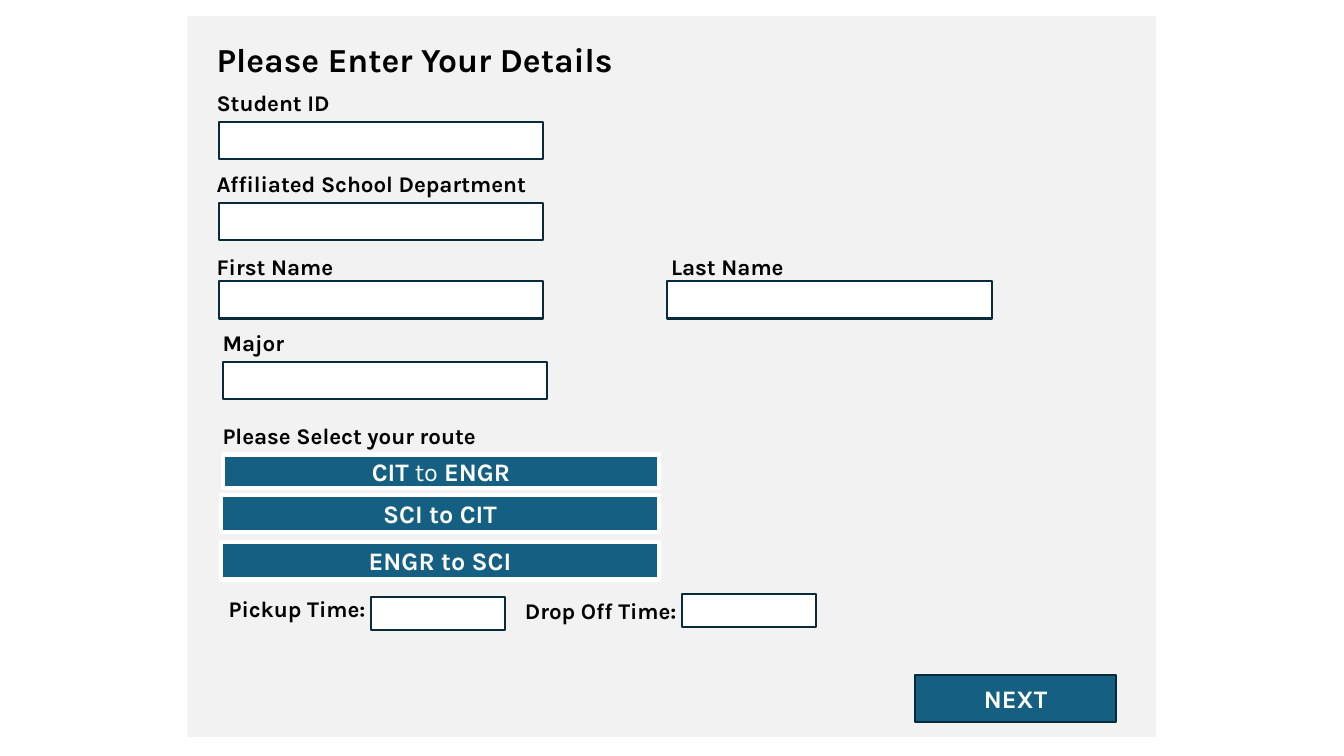
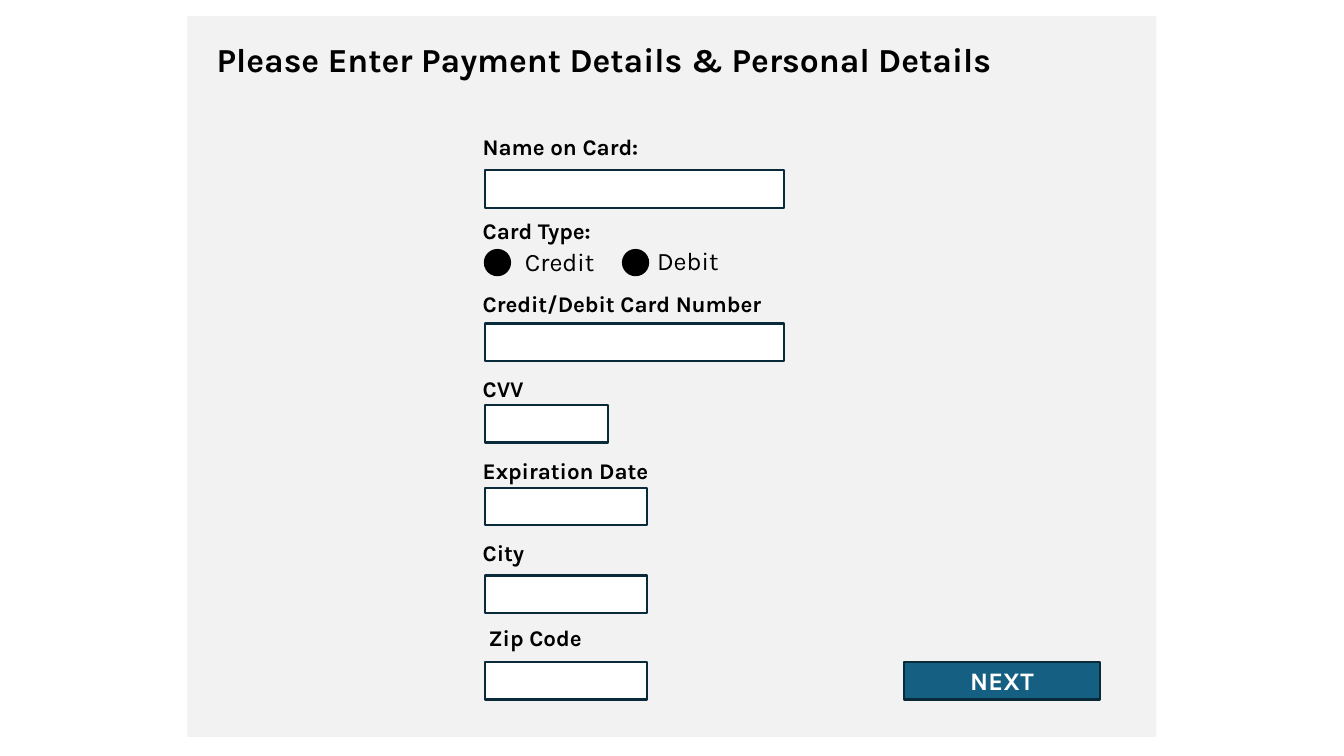
from dataclasses import dataclass

from pptx import Presentation
from pptx.dml.color import RGBColor
from pptx.enum.shapes import MSO_SHAPE
from pptx.enum.text import MSO_ANCHOR, MSO_AUTO_SIZE, PP_ALIGN
from pptx.util import Inches, Pt


@dataclass(frozen=True)
class Theme:
    font: str = "Karla"
    panel: str = "F2F2F2"
    ink: str = "000000"
    paper: str = "FFFFFF"
    outline: str = "092A39"
    accent: str = "156082"
    title_size: int = 24
    label_size: int = 16
    action_size: int = 18
    thin: float = 1.5
    thick: float = 3


THEME = Theme()
CELL = Inches(0.1)
COLUMNS, ROWS = 133.33, 75
FIELD_HEIGHT = 3.7
LABEL_WIDTH = 33.3


def cells(*counts):
    return [round(count * CELL) for count in counts]


def write_text(frame, text, size=THEME.label_size, color=THEME.ink, bold=True,
               align=PP_ALIGN.LEFT, anchor=MSO_ANCHOR.TOP):
    frame.word_wrap = True
    frame.vertical_anchor = anchor
    paragraph = frame.paragraphs[0]
    paragraph.alignment = align
    parts = (text,) if isinstance(text, str) else text
    for index, part in enumerate(parts):
        run = paragraph.add_run()
        run.text = part
        run.font.name = THEME.font
        run.font.size = Pt(size)
        run.font.bold = bold and index % 2 == 0
        run.font.color.rgb = RGBColor.from_string(color)


class FormDeck:
    def __init__(self):
        self.deck = Presentation()
        self.deck.slide_width, self.deck.slide_height = cells(COLUMNS, ROWS)
        self.slide = None

    def page(self, heading):
        self.slide = self.deck.slides.add_slide(self.deck.slide_layouts[6])
        self.block(18.6, 1.6, 96.1, 71.5, fill=THEME.panel)
        self.label(heading, 20.5, 3.4, width=90.1, height=5,
                   size=THEME.title_size)

    def block(self, column, row, width, height, fill=THEME.paper, line=None,
              weight=THEME.thin, kind=MSO_SHAPE.RECTANGLE):
        block = self.slide.shapes.add_shape(
            kind, *cells(column, row, width, height))
        block.shadow.inherit = False
        block.fill.solid()
        block.fill.fore_color.rgb = RGBColor.from_string(fill)
        if line:
            block.line.color.rgb = RGBColor.from_string(line)
            block.line.width = Pt(weight)
        else:
            block.line.fill.background()
        return block

    def label(self, text, column, row, width=LABEL_WIDTH, height=FIELD_HEIGHT,
              **text_format):
        frame = self.slide.shapes.add_textbox(
            *cells(column, row, width, height)).text_frame
        write_text(frame, text, **text_format)
        frame.auto_size = MSO_AUTO_SIZE.SHAPE_TO_FIT_TEXT

    def field(self, column, row, width, height=FIELD_HEIGHT):
        self.block(column, row, width, height, line=THEME.outline)

    def button(self, text, column, row, width, height, line=THEME.outline,
               weight=THEME.thin):
        button = self.block(column, row, width, height, fill=THEME.accent,
                            line=line, weight=weight)
        write_text(button.text_frame, text, size=THEME.action_size,
                   color=THEME.paper, align=PP_ALIGN.CENTER,
                   anchor=MSO_ANCHOR.MIDDLE)

    def option(self, text, column, row, text_column, text_row):
        self.block(column, row, 2.5, 2.5, fill=THEME.ink, line=THEME.ink,
                   kind=MSO_SHAPE.FLOWCHART_CONNECTOR)
        self.label(text, text_column, text_row, width=12.6, height=4,
                   size=THEME.action_size, bold=False)


def student_page(form):
    form.page("Please Enter Your Details")
    for name, label_column, label_row, column, row in (
        ("Student ID", 20.5, 8.4, 21.7, 12.1),
        ("Affiliated School Department", 20.5, 16.4, 21.7, 20.1),
        ("First Name", 20.5, 24.6, 21.7, 27.9),
        ("Last Name", 65.6, 24.6, 66.2, 27.9),
        ("Major", 21.1, 32.2, 22.1, 35.9),
    ):
        form.label(name, label_column, label_row)
        form.field(column, row, 32.2)

    form.label("Please Select your route", 21.1, 41.4)
    for route, column, row, width, height in (
        (("CIT", " to ", "ENGR"), 22.1, 45.1, 43.3, 3.3),
        ("SCI to CIT", 21.9, 49.1, 43.5, 3.7),
        ("ENGR to SCI", 21.9, 53.8, 43.5, 3.7),
    ):
        form.button(route, column, row, width, height, line=THEME.paper,
                    weight=THEME.thick)

    for time, label_column, label_row, column, row in (
        ("Pickup Time:", 21.7, 58.6, 36.8, 59.2),
        ("Drop Off Time:", 51.1, 58.8, 67.7, 58.9),
    ):
        form.label(time, label_column, label_row)
        form.field(column, row, 13.3, height=3.3)
    form.button("NEXT", 90.8, 67, 19.9, 4.6)


def payment_page(form):
    form.page("Please Enter Payment Details & Personal Details")
    for name, label_column, label_row, row, width in (
        ("Name on Card:", 46.9, 12.7, 16.9, 29.7),
        ("Credit/Debit Card Number", 46.9, 28.3, 32.1, 29.7),
        ("CVV", 46.9, 36.7, 40.2, 12.2),
        ("Expiration Date", 46.9, 44.9, 48.4, 16.1),
        ("City", 46.9, 53, 57.1, 16.1),
        ("Zip Code", 47.5, 61.4, 65.7, 16.1),
    ):
        form.label(name, label_column, label_row)
        form.field(48.1, row, width)

    form.label("Card Type:", 46.9, 21.1)
    form.option("Credit", 48.1, 24.8, 51.1, 23.9)
    form.option("Debit", 61.8, 24.8, 64.2, 23.8)
    form.button("NEXT", 89.7, 65.7, 19.4, FIELD_HEIGHT)


def main():
    form = FormDeck()
    student_page(form)
    payment_page(form)
    form.deck.save("out.pptx")


if __name__ == "__main__":
    main()
